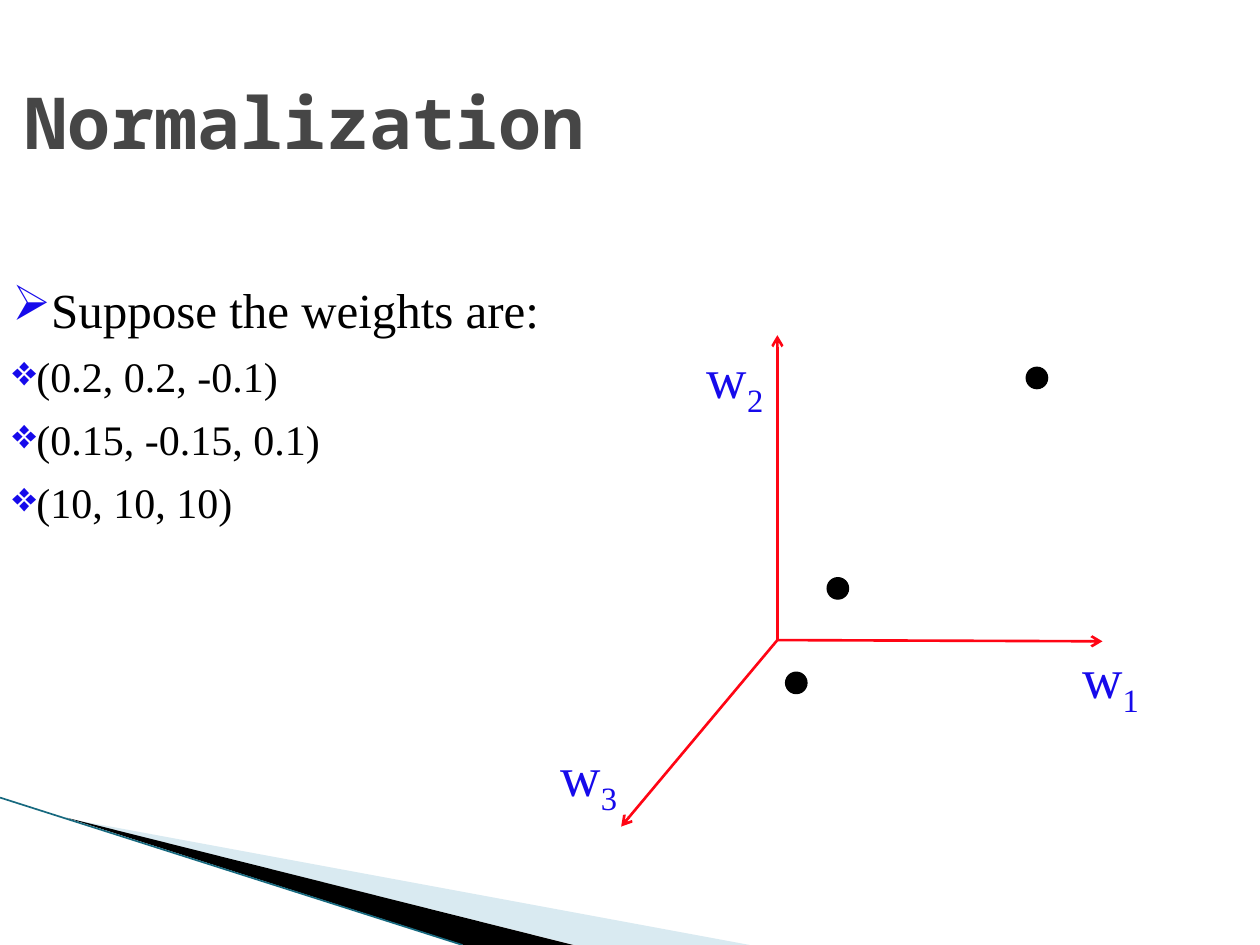
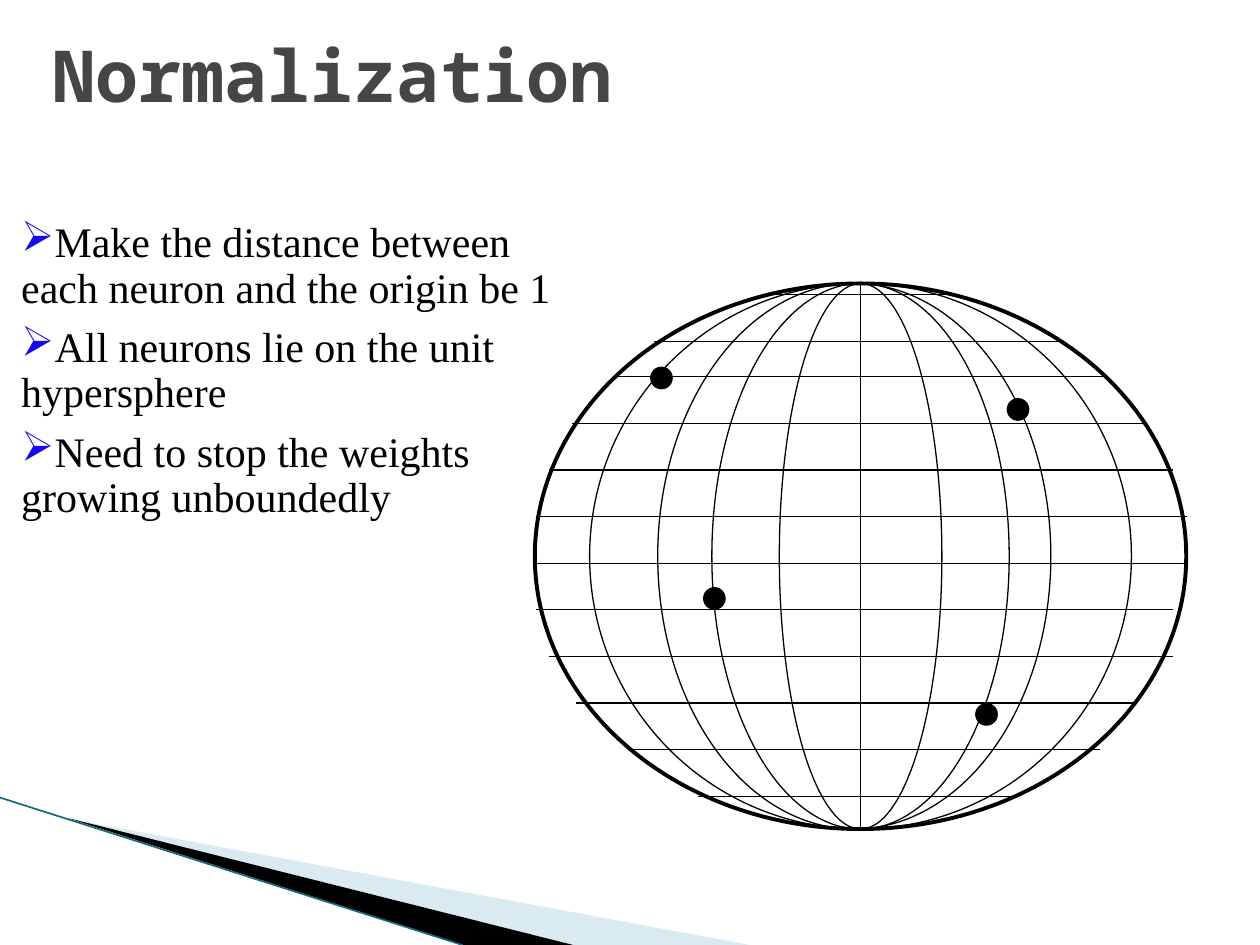
from dataclasses import dataclass

from lxml.etree import SubElement
from pptx import Presentation
from pptx.dml.color import RGBColor
from pptx.enum.shapes import MSO_CONNECTOR, MSO_SHAPE
from pptx.enum.text import MSO_ANCHOR
from pptx.oxml.ns import qn
from pptx.util import Inches, Pt


@dataclass(frozen=True)
class Theme:
    title_font: str = "Noto Sans Mono"
    body_font: str = "Times New Roman"
    title_color: str = "464646"
    ink: str = "000000"
    accent: str = "160AEB"
    axis: str = "FF0514"
    pale_wedge: str = "A0CBDC"
    edge: str = "17697F"
    title_size: float = 41
    lead_size: float = 28
    text_size: float = 24
    label_size: float = 32
    thin: float = 0.75
    edge_width: float = 0.95
    axis_width: float = 1.5
    outline_width: float = 2.25


T = Theme()
ARROW, DIAMONDS = "➢", "❖"
DOT = 0.17

# Points as (bullet, text, size, space before)
WEIGHTS = [
    (ARROW, "Suppose the weights are:", T.lead_size, 0),
    (DIAMONDS, "(0.2, 0.2, -0.1)", T.text_size, 7),
    (DIAMONDS, "(0.15, -0.15, 0.1)", T.text_size, 7),
    (DIAMONDS, "(10, 10, 10)", T.text_size, 7),
]
REASONS = [
    (ARROW, "Make the distance between each neuron and the origin be 1", T.text_size, 0),
    (ARROW, "All neurons lie on the unit hypersphere", T.text_size, 8),
    (ARROW, "Need to stop the weights growing unboundedly", T.text_size, 8),
]

ORIGIN = (6.17, 5.08)
# Axes as (index, tip, label position)
AXES = [
    ("1", (8.75, 5.09), (8.49, 5.05)),
    ("2", (6.17, 2.66), (5.51, 2.67)),
    ("3", (4.93, 6.56), (4.35, 5.83)),
]
WEIGHT_DOTS = [(6.65, 4.67), (6.32, 5.42), (8.23, 3)]

GLOBE_X, GLOBE_TOP, GLOBE_WIDTH, GLOBE_HEIGHT = 6.83, 2.25, 5.17, 4.33
# Meridians as (centre x, width)
MERIDIANS = [(6.83, 1.29), (6.83, 2.36), (6.78, 3.12), (6.83, 4.3)]
UPPER_PARALLELS = [(2.34, 6.08, 7.59), (2.71, 5.19, 8.45), (2.99, 4.89, 8.77)]
LOWER_TOP, LOWER_STEP = 3.36, 0.37
LOWER_SPANS = [(4.54, 9.09), (4.36, 9.31), (4.25, 9.42), (4.25, 9.42), (4.25, 9.31),
               (4.36, 9.31), (4.57, 8.99), (5, 8.73), (5.54, 8.02)]
NEURON_DOTS = [(8.08, 3.25), (5.67, 4.75), (7.83, 5.67), (5.25, 3)]


def set_format(obj, values):
    for name, value in values.items():
        setattr(obj, name, value)


def add_run(p, text, font, size, color, bold=False):
    r = p.add_run()
    r.text = text
    set_format(r.font, {"name": font, "size": Pt(size), "bold": bold})
    r.font.color.rgb = RGBColor.from_string(color)
    return r


def add_text_frame(s, left, top, width, height, **values):
    tf = s.shapes.add_textbox(*map(Inches, (left, top, width, height))).text_frame
    set_format(tf, {"word_wrap": True, **values})
    return tf


def fill_with(sp, color):
    sp.shadow.inherit = False
    sp.fill.solid()
    sp.fill.fore_color.rgb = RGBColor.from_string(color)


def add_line(s, start, end, color, width, arrow=False):
    line = s.shapes.add_connector(MSO_CONNECTOR.STRAIGHT, *map(Inches, (*start, *end)))
    line.line.color.rgb = RGBColor.from_string(color)
    line.line.width = Pt(width)
    if arrow:
        SubElement(line.line._get_or_add_ln(), qn("a:tailEnd"), type="arrow")
    SubElement(line._element.spPr, qn("a:effectLst"))


def add_oval(s, center_x, top, width, height, weight, fill=None):
    box = map(Inches, (center_x - width / 2, top, width, height))
    sp = s.shapes.add_shape(MSO_SHAPE.OVAL, *box)
    if fill:
        fill_with(sp, fill)
    else:
        sp.shadow.inherit = False
        sp.fill.background()
    sp.line.color.rgb = RGBColor.from_string(T.ink)
    sp.line.width = Pt(weight)


def add_dots(s, centers):
    for x, y in centers:
        add_oval(s, x, y - DOT / 2, DOT, DOT, T.thin, T.ink)


def add_wedge(s, points, color, opacity=100):
    start, *rest = [(Inches(x), Inches(y)) for x, y in points]
    builder = s.shapes.build_freeform(*start)
    builder.add_line_segments(rest, close=True)
    sp = builder.convert_to_shape()
    fill_with(sp, color)
    sp.line.fill.background()
    if opacity < 100:
        rgb = sp._element.spPr.find(qn("a:solidFill")).find(qn("a:srgbClr"))
        SubElement(rgb, qn("a:alpha"), val=str(opacity * 1000))


def add_corner_band(s):
    add_wedge(s, [(0.55, 6.5), (5.95, 7.5), (4.56, 7.5)], T.pale_wedge, 40)
    add_wedge(s, [(0.53, 6.49), (4.55, 7.5), (3.68, 7.5)], T.ink)
    add_line(s, (0, 6.33), (3.67, 7.5), T.edge, T.edge_width)


def add_title(s, text, left, top):
    tf = add_text_frame(s, left, top, 8.5, 0.79, vertical_anchor=MSO_ANCHOR.MIDDLE)
    add_run(tf.paragraphs[0], text, T.title_font, T.title_size, T.title_color, True)


def add_bullet(p, char):
    """Put an accent-coloured bullet directly before the text."""
    pPr = p._p.get_or_add_pPr()
    set_attrs = {"marL": "0", "indent": "0"}
    pPr.attrib.update(set_attrs)
    color = SubElement(pPr, qn("a:buClr"))
    SubElement(color, qn("a:srgbClr"), val=T.accent)
    SubElement(pPr, qn("a:buChar"), char=char)


def add_points(s, box, points, line_spacing=1.0):
    tf = add_text_frame(s, *box)
    for i, (bullet, text, size, before) in enumerate(points):
        p = tf.add_paragraph() if i else tf.paragraphs[0]
        add_bullet(p, bullet)
        set_format(p, {"line_spacing": line_spacing, "space_before": Pt(before)})
        add_run(p, text, T.body_font, size, T.ink)


def add_axis(s, index, tip, label_at):
    add_line(s, ORIGIN, tip, T.axis, T.axis_width, arrow=True)
    p = add_text_frame(s, *label_at, 0.65, 0.71, word_wrap=False).paragraphs[0]
    add_run(p, "w", T.body_font, T.label_size, T.accent)
    subscript = add_run(p, index, T.body_font, T.label_size, T.accent)
    subscript.font._element.set("baseline", "-25000")


def add_globe(s):
    add_oval(s, GLOBE_X, GLOBE_TOP, GLOBE_WIDTH, GLOBE_HEIGHT, T.outline_width)
    lower = [(LOWER_TOP + i * LOWER_STEP, *span) for i, span in enumerate(LOWER_SPANS)]
    for y, left, right in UPPER_PARALLELS + lower:
        add_line(s, (left, y), (right, y), T.ink, T.thin)
    bottom = GLOBE_TOP + GLOBE_HEIGHT
    add_line(s, (GLOBE_X, GLOBE_TOP), (GLOBE_X, bottom), T.ink, T.thin)
    for center_x, width in MERIDIANS:
        add_oval(s, center_x, GLOBE_TOP, width, GLOBE_HEIGHT, T.thin)


def add_base_slide(prs, title_left, title_top):
    s = prs.slides.add_slide(prs.slide_layouts[6])
    add_corner_band(s)
    add_title(s, "Normalization", title_left, title_top)
    return s


def main():
    prs = Presentation()
    set_format(prs, {"slide_width": Inches(10), "slide_height": Inches(7.5)})

    s = add_base_slide(prs, 0.1, 0.56)
    add_points(s, (0, 2.17, 8.5, 2.15), WEIGHTS)
    for axis in AXES:
        add_axis(s, *axis)
    add_dots(s, WEIGHT_DOTS)

    s = add_base_slide(prs, 0.32, 0.19)
    add_points(s, (0.07, 1.71, 4.5, 2.51), REASONS, line_spacing=0.9)
    add_globe(s)
    add_dots(s, NEURON_DOTS)

    prs.save("out.pptx")


if __name__ == "__main__":
    main()
